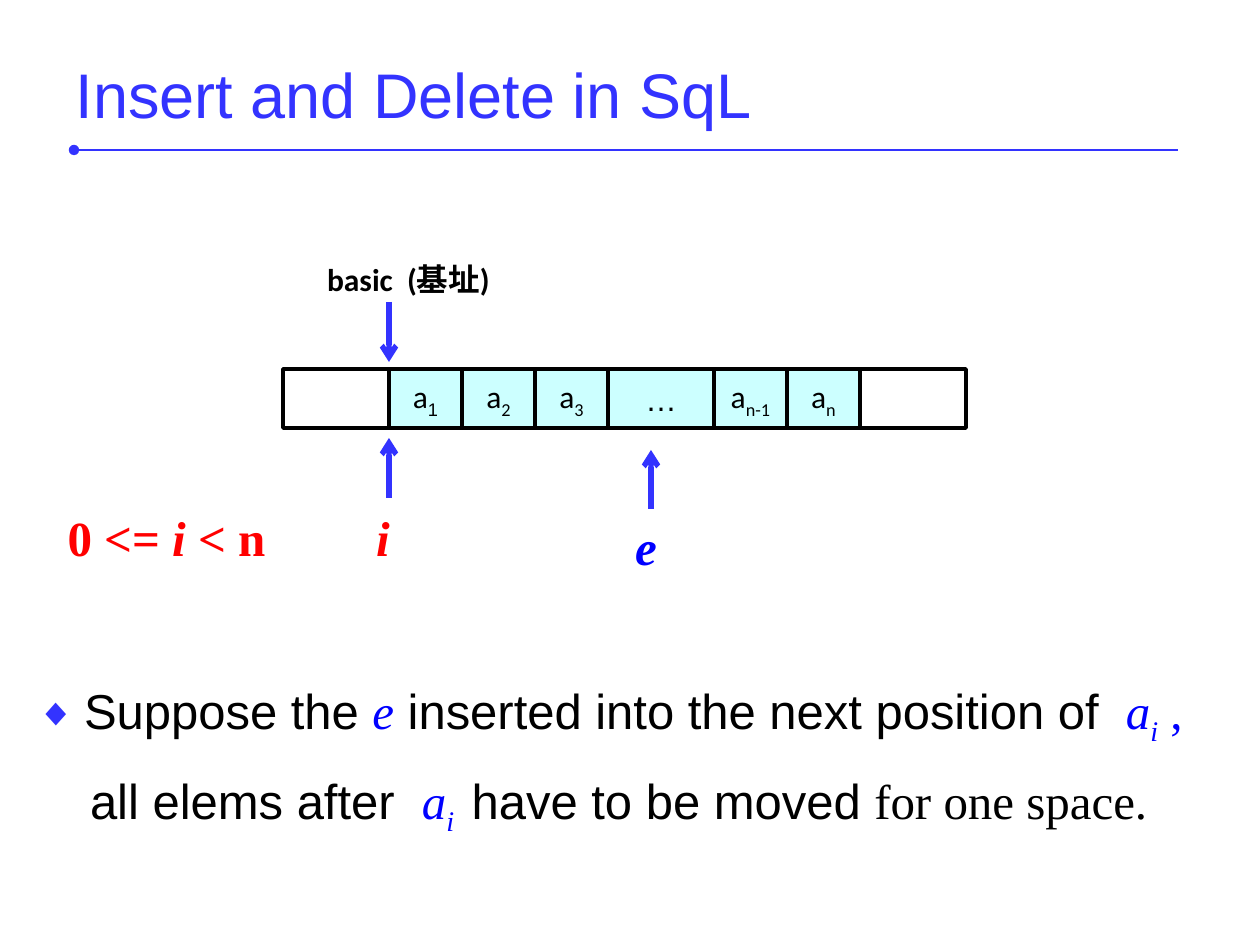
from lxml import etree
from pptx import Presentation
from pptx.dml.color import RGBColor
from pptx.enum.shapes import MSO_CONNECTOR, MSO_SHAPE
from pptx.enum.text import MSO_ANCHOR, PP_ALIGN
from pptx.oxml.ns import qn
from pptx.util import Emu, Pt

STRAIGHT = MSO_CONNECTOR.STRAIGHT
RECTANGLE = MSO_SHAPE.RECTANGLE
TOP, MIDDLE = MSO_ANCHOR.TOP, MSO_ANCHOR.MIDDLE
LEFT, CENTER = PP_ALIGN.LEFT, PP_ALIGN.CENTER

INDIGO = RGBColor(0x33, 0x33, 0xFF)
BLUE = RGBColor(0x00, 0x00, 0xFF)
RED = RGBColor(0xFF, 0x00, 0x00)
BLACK = RGBColor(0x00, 0x00, 0x00)
WHITE = RGBColor(0xFF, 0xFF, 0xFF)
CYAN = RGBColor(0xCC, 0xFF, 0xFF)

SANS, SERIF, LABEL = "Arial", "Times New Roman", "Calibri"
EMU_PER_PX = 914400 / 126

ROW_LEFT, ROW_TOP, ROW_HEIGHT = 283, 369, 59
NARROW, WIDE = 73, 106


def px(count):
    return Emu(round(count * EMU_PER_PX))


def add_span(para, text, size, font, color=BLACK, bold=False, italic=False,
             subscript=False, tracking=0):
    """Add one run; tracking is extra letter spacing in points."""
    span = para.add_run()
    span.text = text
    span.font.size = Pt(size)
    span.font.name = font
    span.font.color.rgb = color
    span.font.bold = bold
    span.font.italic = italic
    properties = span.font._element
    if subscript:
        properties.set("baseline", "-25000")
    if tracking:
        properties.set("spc", str(round(tracking * 100)))


def add_text_box(page, left, top, width, height, anchor=MIDDLE, align=CENTER,
                 margin=0):
    """Add a text box and return its first paragraph and its frame."""
    box = page.shapes.add_textbox(px(left), px(top), px(width), px(height))
    frame = box.text_frame
    frame.word_wrap = True
    frame.vertical_anchor = anchor
    frame.margin_left = frame.margin_right = px(margin)
    para = frame.paragraphs[0]
    para.alignment = align
    return para, frame


def add_line(page, start, end, width, head=None, tail=None):
    line = page.shapes.add_connector(
        STRAIGHT, px(start[0]), px(start[1]), px(end[0]), px(end[1]))
    line.line.color.rgb = INDIGO
    line.line.width = Pt(width)
    outline = line.line._get_or_add_ln()
    for tag, kind in (("a:headEnd", head), ("a:tailEnd", tail)):
        if kind:
            etree.SubElement(outline, qn(tag)).set("type", kind)
    etree.SubElement(line._element.spPr, qn("a:effectLst"))


def add_cell(page, left, width, fill, name="", index="", index_font=LABEL):
    cell = page.shapes.add_shape(
        RECTANGLE, px(left), px(ROW_TOP), px(width), px(ROW_HEIGHT))
    cell.shadow.inherit = False
    cell.fill.solid()
    cell.fill.fore_color.rgb = fill
    cell.line.color.rgb = BLACK
    cell.line.width = Pt(2)
    frame = cell.text_frame
    frame.vertical_anchor = MIDDLE
    frame.margin_left = frame.margin_right = 0
    para = frame.paragraphs[0]
    para.alignment = CENTER
    if name:
        add_span(para, name, 18, LABEL if index else SANS)
    if index:
        add_span(para, index, 18, index_font, subscript=True)


def add_array(page):
    cells = [
        (WIDE, WHITE), (NARROW, CYAN, "a", "1", SANS),
        (NARROW, CYAN, "a", "2"), (NARROW, CYAN, "a", "3"),
        (WIDE, CYAN, "…"), (NARROW, CYAN, "a", "n-1"),
        (NARROW, CYAN, "a", "n"), (WIDE, WHITE),
    ]
    left = ROW_LEFT
    for cell in cells:
        add_cell(page, left, *cell)
        left += cell[0]


def add_variable_label(page, left, top, width, parts, color):
    """Add a bold serif label; parts are (text, italic) pairs."""
    para, _ = add_text_box(page, left, top, width, 49)
    for text, italic in parts:
        add_span(para, text, 28, SERIF, color, bold=True, italic=italic)


def add_diamond_bullet(para, indent):
    properties = para._p.get_or_add_pPr()
    properties.set("marL", str(px(indent)))
    properties.set("indent", str(-px(indent)))
    color = etree.SubElement(properties, qn("a:buClr"))
    etree.SubElement(color, qn("a:srgbClr")).set("val", str(INDIGO))
    etree.SubElement(properties, qn("a:buSzPct")).set("val", "80000")
    etree.SubElement(properties, qn("a:buFont")).set("typeface", SANS)
    etree.SubElement(properties, qn("a:buChar")).set("char", "◆")


def add_element_name(para):
    add_span(para, "a", 28, SERIF, BLUE, italic=True)
    add_span(para, "i", 28, SERIF, BLUE, italic=True, subscript=True)


def add_explanation(page):
    first, frame = add_text_box(page, 23, 661, 1202, 234, TOP, LEFT, margin=13)
    first.line_spacing = 1.2
    add_diamond_bullet(first, 48)
    add_span(first, "Suppose the ", 28, SANS)
    add_span(first, "e", 28, SERIF, BLUE, italic=True)
    add_span(first, " inserted into the next position of", 28, SANS)
    add_span(first, " ", 28, SANS, tracking=7.8)
    add_element_name(first)
    add_span(first, " ,", 28, SERIF, BLUE)

    second = frame.add_paragraph()
    second.line_spacing = 1.2
    second.space_before = Pt(5.6)
    second._p.get_or_add_pPr().set("marL", str(px(54)))
    add_span(second, "all elems after", 28, SANS)
    add_span(second, " ", 28, SANS, tracking=7.8)
    add_element_name(second)
    add_span(second, " ", 28, SERIF, tracking=3)
    add_span(second, "have to be moved ", 28, SANS)
    add_span(second, "for one space.", 28, SERIF)


def main():
    deck = Presentation()
    deck.slide_width, deck.slide_height = px(1260), px(945)
    page = deck.slides.add_slide(deck.slide_layouts[6])

    add_line(page, (74, 150), (1178, 150), 1.5, head="oval")
    title, _ = add_text_box(page, 63, 38, 1134, 111, align=LEFT, margin=13)
    add_span(title, "Insert and Delete in SqL", 36, SANS, INDIGO)

    add_array(page)
    base = ROW_LEFT + WIDE
    add_line(page, (base, 302), (base, 362), 3, tail="arrow")
    add_line(page, (base, 498), (base, 438), 3, tail="arrow")
    add_line(page, (651, 509), (651, 450), 3, tail="arrow")

    caption, _ = add_text_box(page, 282, 254, 253, 49)
    add_span(caption, "basic", 18, LABEL, bold=True)
    add_span(caption, " ", 18, LABEL, bold=True, tracking=4)
    add_span(caption, "(基址)", 18, LABEL, bold=True)

    add_variable_label(page, 362, 512, 54, [("i ", True)], RED)
    add_variable_label(page, 40, 512, 253,
                       [("0 <=", False), (" i ", True), ("< n", False)], RED)
    add_variable_label(page, 602, 521, 100, [("e ", True)], BLUE)
    add_explanation(page)
    deck.save("out.pptx")


if __name__ == "__main__":
    main()
